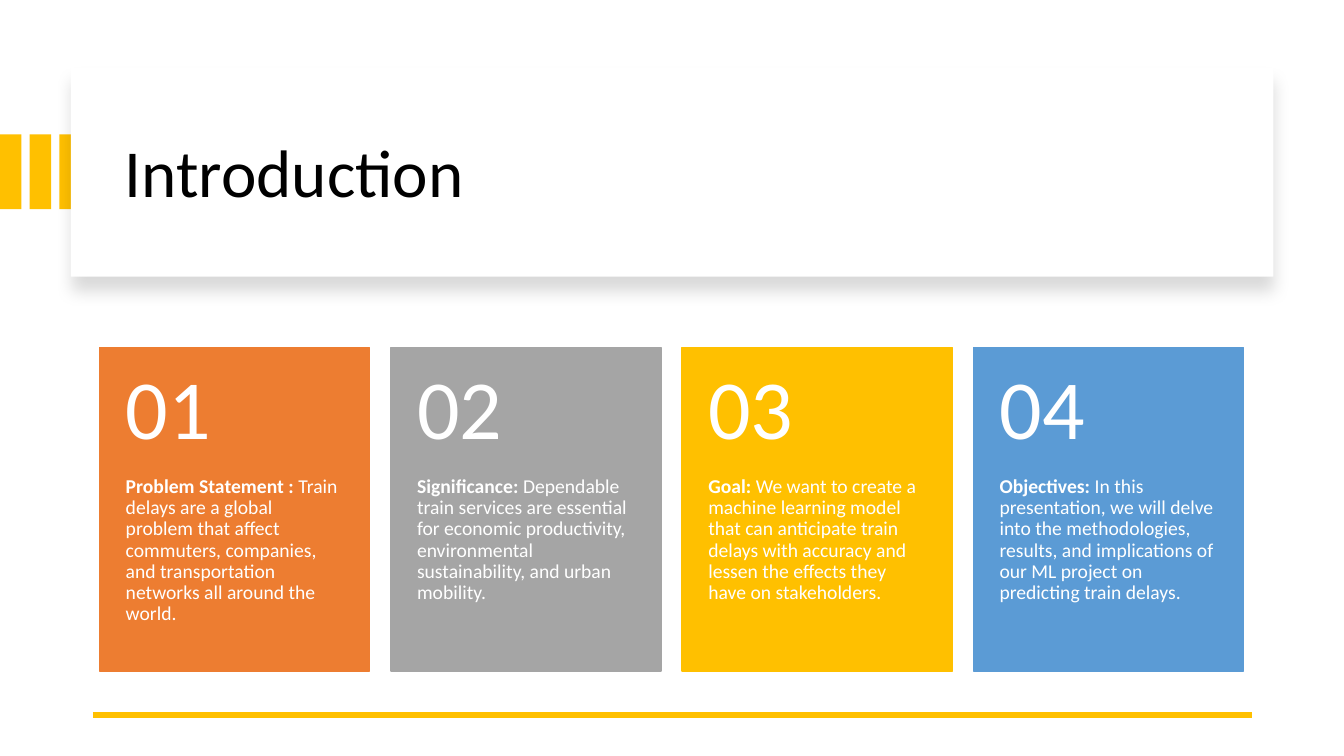
from lxml.etree import SubElement as Sub
from pptx import Presentation
from pptx.dml.color import RGBColor as Rgb
from pptx.enum.shapes import MSO_CONNECTOR as Conn, MSO_SHAPE as Shape
from pptx.enum.text import MSO_ANCHOR as Anchor
from pptx.oxml.ns import qn
from pptx.util import Cm, Pt

GOLD, WHITE, BLACK = "FFC000", "FFFFFF", "000000"
CARDS = [
    ("ED7D31", "Problem Statement : ",
     "Train delays are a global problem that affect commuters, companies, "
     "and transportation networks all around the world."),
    ("A5A5A5", "Significance: ",
     "Dependable train services are essential for economic productivity, "
     "environmental sustainability, and urban mobility."),
    (GOLD, "Goal: ",
     "We want to create a machine learning model that can anticipate train "
     "delays with accuracy and lessen the effects they have on stakeholders."),
    ("5B9BD5", "Objectives: ",
     "In this presentation, we will delve into the methodologies, results, "
     "and implications of our ML project on predicting train delays."),
]
LEFT, TOP, WIDTH, STEP = 2.51, 8.76, 6.81, 7.34
HEAD, BODY = 3.25, 4.9


def paint(color, value):
    color.rgb = Rgb.from_string(value)


def add_rect(slide, left, top, width, height, fill, edge=False):
    rect = slide.shapes.add_shape(
        Shape.RECTANGLE, Cm(left), Cm(top), Cm(width), Cm(height))
    rect.shadow.inherit = False
    rect.fill.solid()
    paint(rect.fill.fore_color, fill)
    if edge:
        paint(rect.line.color, fill)
        rect.line.width = Pt(1)
    else:
        rect.line.fill.background()
    return rect


def add_shade(rect):
    """Give the panel a soft shadow that falls straight down."""
    effects = rect._element.spPr.find(qn("a:effectLst"))
    shade = Sub(effects, qn("a:outerShdw"), blurRad=str(Pt(11)),
                dist=str(Pt(10)), dir="5400000", algn="t", rotWithShape="0")
    tint = Sub(shade, qn("a:srgbClr"), val=BLACK)
    Sub(tint, qn("a:alpha"), val="15000")


def add_text(slide, left, top, width, height, text, size, color=WHITE,
             lead="", anchor=Anchor.MIDDLE, pads=(0.25, 0.13, 0.25, 0.13)):
    """Add a text box; lead is bold text before the rest, pads go clockwise
    from the left."""
    box = slide.shapes.add_textbox(Cm(left), Cm(top), Cm(width), Cm(height))
    frame = box.text_frame
    frame.word_wrap = True
    frame.vertical_anchor = anchor
    (frame.margin_left, frame.margin_top,
     frame.margin_right, frame.margin_bottom) = map(Cm, pads)
    para = frame.paragraphs[0]
    para.line_spacing = 0.9
    for part, bold in ((lead, True), (text, False)):
        if part:
            run = para.add_run()
            run.text = part
            run.font.name = "Calibri"
            run.font.size = Pt(size)
            run.font.bold = bold
            paint(run.font.color, color)


def add_rule(slide, left, right, top):
    rule = slide.shapes.add_connector(
        Conn.STRAIGHT, Cm(left), Cm(top), Cm(right), Cm(top))
    paint(rule.line.color, GOLD)
    rule.line.width = Pt(4.5)
    Sub(rule._element.spPr, qn("a:effectLst"))


def add_card(slide, index, fill, lead, text):
    left = LEFT + index * STEP
    add_rect(slide, left, TOP, WIDTH, HEAD + BODY, fill, edge=True)
    add_text(slide, left, TOP + HEAD, WIDTH, BODY, text, 14, lead=lead,
             anchor=Anchor.TOP, pads=(0.66, 0, 0.66, 0.91))
    add_text(slide, left, TOP, WIDTH, HEAD, f"{index + 1:02}", 60,
             pads=(0.66, 0.46, 0.66, 0.46))


def main():
    deck = Presentation()
    deck.slide_width, deck.slide_height = Cm(33.87), Cm(19.05)
    slide = deck.slides.add_slide(deck.slide_layouts[6])
    for index in range(3):
        add_rect(slide, index * 0.75, 3.39, 0.54, 1.88, GOLD)
    add_shade(add_rect(slide, 1.79, 1.71, 30.3, 5.26, WHITE))
    add_text(slide, 2.9, 2.26, 28.27, 4.32, "Introduction", 48, color=BLACK)
    add_rule(slide, 2.34, 31.55, 18.01)
    for index, card in enumerate(CARDS):
        add_card(slide, index, *card)
    deck.save("out.pptx")


if __name__ == "__main__":
    main()
